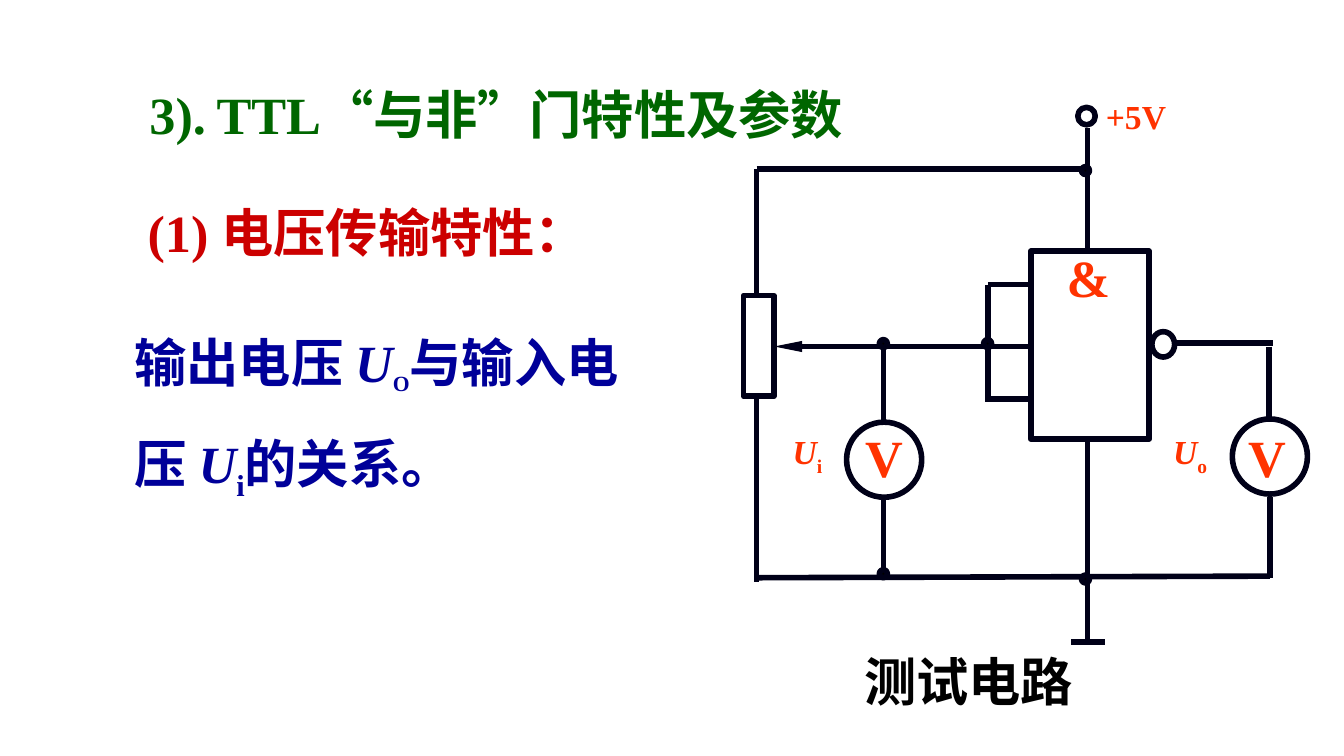
from lxml import etree
from pptx import Presentation
from pptx.dml.color import RGBColor
from pptx.enum.shapes import MSO_CONNECTOR, MSO_SHAPE
from pptx.enum.text import MSO_ANCHOR, MSO_AUTO_SIZE, PP_ALIGN
from pptx.oxml.ns import qn
from pptx.util import Cm, Pt

STRAIGHT = MSO_CONNECTOR.STRAIGHT
RECT, OVAL = MSO_SHAPE.RECTANGLE, MSO_SHAPE.OVAL
TOP, LEFT, NO_FIT = MSO_ANCHOR.TOP, PP_ALIGN.LEFT, MSO_AUTO_SIZE.NONE
COLORS = {"heading": "006600", "topic": "CC0000", "body": "000099",
          "caption": "000000", "wire": "000018", "dot": "000000", "label": "FF3300"}
FONT = "Times New Roman"
WIRE_WIDTH = Pt(3)


def rgb(name):
    """Return the named colour."""
    return RGBColor.from_string(COLORS[name])


def place(shape, box):
    """Move a shape to a box given in centimetres."""
    for name, value in zip(("left", "top", "width", "height"), box):
        setattr(shape, name, Cm(value))


def write(shape, spans, color, size=28, line_spacing=None, tab=None):
    """Fill a shape with one paragraph of (text, style) spans."""
    frame = shape.text_frame
    for name, value in {"word_wrap": True, "auto_size": NO_FIT,
                        "vertical_anchor": TOP}.items():
        setattr(frame, name, value)
    para = frame.paragraphs[0]
    props = para._p.get_or_add_pPr()
    props.set("marL", "0")
    props.set("indent", "0")
    etree.SubElement(props, qn("a:buNone"))
    if tab:
        stops = etree.SubElement(props, qn("a:tabLst"))
        etree.SubElement(stops, qn("a:tab"), pos=str(Cm(tab)), algn="l")
    for name, value in {"alignment": LEFT, "space_before": Pt(0),
                        "line_spacing": line_spacing}.items():
        setattr(para, name, value)
    for text, style in spans:
        span = para.add_run()
        span.text = text
        look = {"name": FONT, "size": Pt(size), "bold": True,
                "italic": style == "italic"}
        if style == "small sub":
            look["size"] = Pt(20)
        for name, value in look.items():
            setattr(span.font, name, value)
        span.font.color.rgb = rgb(color)
        run_props = span._r.get_or_add_rPr()
        run_props.set("lang", "zh-CN")
        if style.endswith("sub"):
            run_props.set("baseline", "-25000")


def add_text(shapes, box, spans, color, size=28):
    """Add a text box."""
    text_box = shapes.add_textbox(*map(Cm, box))
    write(text_box, spans, color, size)


def add_part(shapes, kind, box, fill=None):
    """Add an outlined circuit part."""
    part = shapes.add_shape(kind, *map(Cm, box))
    part.shadow.inherit = False
    part.line.color.rgb = rgb("wire")
    part.line.width = WIRE_WIDTH
    if fill:
        part.fill.solid()
        part.fill.fore_color.rgb = rgb(fill)
    else:
        part.fill.background()


def add_wire(shapes, ends, arrow=False):
    """Add a straight wire, with an arrowhead at its end on request."""
    wire = shapes.add_connector(STRAIGHT, *map(Cm, ends))
    wire.line.color.rgb = rgb("wire")
    wire.line.width = WIRE_WIDTH
    if arrow:
        etree.SubElement(wire.line._get_or_add_ln(), qn("a:tailEnd"),
                         type="triangle", w="sm", len="lg")
    etree.SubElement(wire._element.spPr, qn("a:effectLst"))


def build_text(page, box):
    """Place the heading, the topic and the statement in a box."""
    left, top, width, height = box
    title, body = page.placeholders
    place(title, (left + 0.28, top, width - 0.28, 1.27))
    write(title, [("3).\tTTL“与非”门特性及参数", "")], "heading", tab=1.56)
    add_text(page.shapes, (left + 0.25, top + 2.24, 8.46, 1.45),
             [("(1) 电压传输特性：", "")], "topic")
    place(body, (left, top + 4.07, 10.6, height - 4.07))
    write(body, [("输出电压 ", ""), ("U", "italic"), ("O", "small sub"),
                 ("与输入电压 ", ""), ("U", "italic"), ("i", "sub"),
                 ("的关系。", "")], "body", line_spacing=1.5)


def build_circuit(page, box):
    """Place the test circuit and its caption in a box."""
    left, top, width, height = box
    shapes = page.shapes.add_group_shape().shapes

    def at(x, y, *size):
        return (left + x, top + y, *size)

    pot, meter_in, tap, gate, supply, out = 0.3, 2.7, 4.67, 5.48, 6.55, 10
    rail, signal, ground, earth = 1.7, 5.05, 9.42, 10.64
    wires = [
        (pot, rail, supply + 0.05, rail), (pot, rail, pot, 4.09),
        (pot, 5.99, pot, ground + 0.08), (pot, ground, out, ground - 0.03),
        (supply, 0.91, supply, 3.2), (supply, 6.78, supply, earth),
        (supply - 0.3, earth, supply + 0.33, earth),
        (tap, 3.88, tap, 6.09), (8.15, 4.98, out + 0.05, 4.98),
        (meter_in, signal, meter_in, 6.48), (meter_in, 7.9, meter_in, ground),
        (out - 0.02, signal, out - 0.02, 6.42), (out, 7.9, out, ground),
    ] + [(tap, y, gate, y) for y in (3.88, signal, 6.04)]
    for x1, y1, x2, y2 in wires:
        add_wire(shapes, at(x1, y1) + at(x2, y2))
    add_wire(shapes, at(tap, signal) + at(0.63, signal), arrow=True)

    for kind, *area in [(RECT, gate, 3.25, 2.24, 3.55), (RECT, 0.05, 4.09, 0.58, 1.9),
                        (OVAL, 7.77, 4.77, 0.43, 0.48), (OVAL, 6.37, 0.53, 0.33, 0.33),
                        (OVAL, 2, 6.48, 1.42, 1.42), (OVAL, 9.29, 6.42, 1.42, 1.42)]:
        add_part(shapes, kind, at(*area))
    for x, y in [(tap, 5), (meter_in, 5), (meter_in, 9.35),
                 (supply - 0.03, 9.45), (supply - 0.03, 1.73)]:
        add_part(shapes, OVAL, at(x - 0.08, y - 0.08, 0.15, 0.15), "dot")

    for text, x, y in [("&", 5.91, 3.02), ("V", 2.1, 6.42), ("V", 9.34, 6.42)]:
        add_text(shapes, at(x, y, 1.55, 1.45), [(text, "")], "label")
    for spans, x, y in [([("+5V", "")], 6.65, 0.18),
                        ([("U", "italic"), ("i", "sub")], 0.73, 6.53),
                        ([("U", "italic"), ("o", "sub")], 7.92, 6.53)]:
        add_text(shapes, at(x, y, 1.83, 1.02), spans, "label", 18)
    add_text(page.shapes, at(2.08, height - 1.45, 5.56, 1.45),
             [("测试电路", "")], "caption")


def main():
    """Build and save the deck."""
    deck = Presentation()
    deck.slide_width, deck.slide_height = Cm(25.4), Cm(14.29)
    page = deck.slides.add_slide(deck.slide_layouts[1])
    build_text(page, (2.29, 1.42, 14.25, 7.7))
    build_circuit(page, (14, 1.5, 11, 12.09))
    deck.save("out.pptx")


if __name__ == "__main__":
    main()
